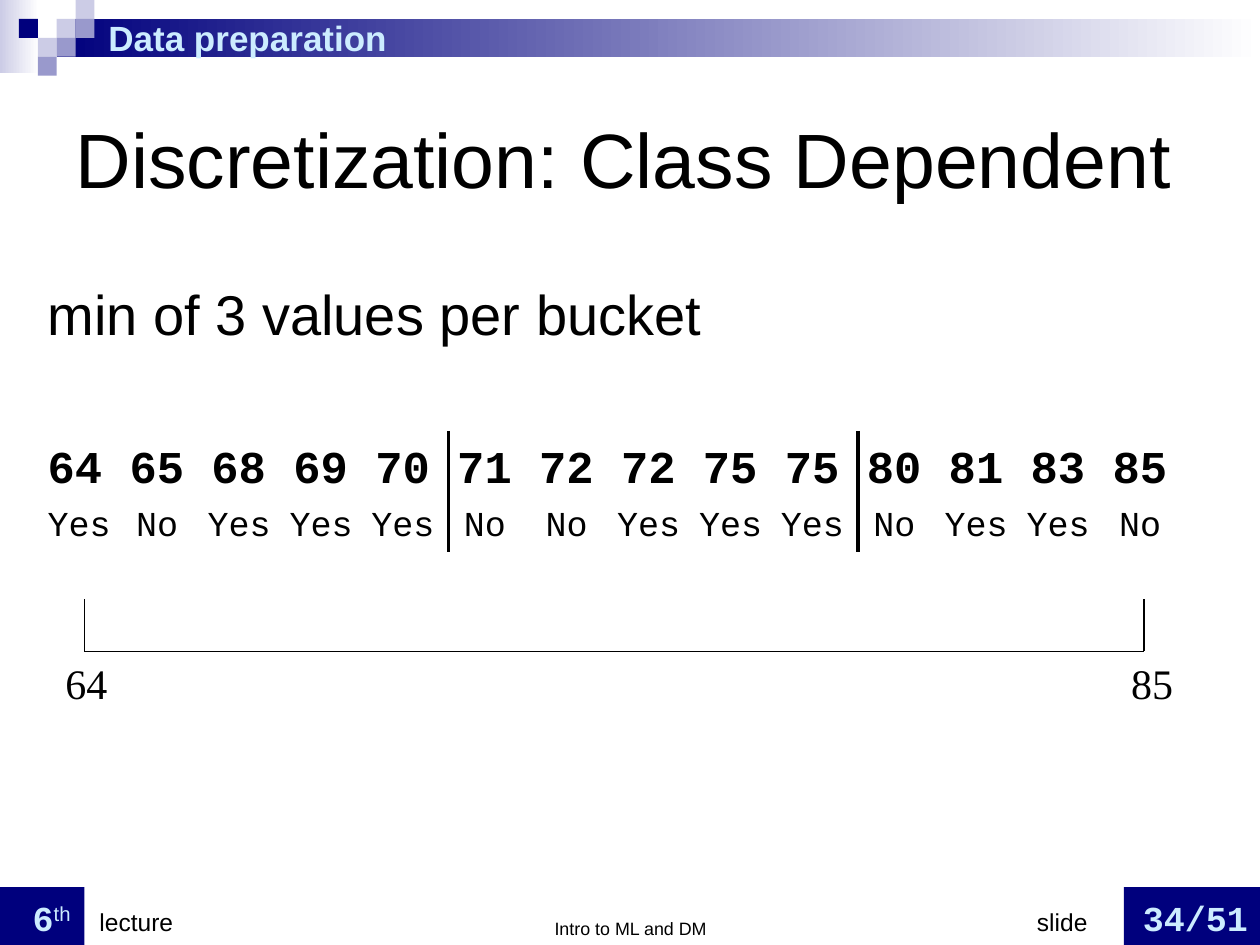
from lxml import etree
from pptx import Presentation
from pptx.dml.color import RGBColor
from pptx.enum.shapes import MSO_CONNECTOR, MSO_SHAPE
from pptx.enum.text import MSO_ANCHOR, PP_ALIGN
from pptx.oxml.ns import qn
from pptx.util import Inches, Pt

RECT = MSO_SHAPE.RECTANGLE
LINE = MSO_CONNECTOR.STRAIGHT
TOP, MID, LOW = MSO_ANCHOR.TOP, MSO_ANCHOR.MIDDLE, MSO_ANCHOR.BOTTOM
LEFT, CENTER = PP_ALIGN.LEFT, PP_ALIGN.CENTER
SANS, MONO, SERIF = "Arial", "Courier New", "Times New Roman"
NAVY, LILAC, PALE, ICE = "00007D", "9999CC", "CCCCE6", "CCECFF"
BLACK, WHITE = "000000", "FFFFFF"


def rgb(value):
    return RGBColor.from_string(value)


class Deck:
    def __init__(self, prs):
        self.slide = prs.slides.add_slide(prs.slide_layouts[5])
        self.shapes = self.slide.shapes

    def rect(self, x, y, w, h, fill, end=None):
        box = self.shapes.add_shape(RECT, Inches(x), Inches(y), Inches(w), Inches(h))
        box.shadow.inherit = False
        box.line.fill.background()
        if end is None:
            box.fill.solid()
            box.fill.fore_color.rgb = rgb(fill)
            return
        box.fill.gradient()
        box.fill.gradient_angle = 0
        for stop, tone, pos in zip(box.fill.gradient_stops, (fill, end), (0, 1)):
            stop.color.rgb = rgb(tone)
            stop.position = pos

    def line(self, x1, y1, x2, y2, width=0.75):
        line = self.shapes.add_connector(
            LINE, Inches(x1), Inches(y1), Inches(x2), Inches(y2))
        line.line.color.rgb = rgb(BLACK)
        line.line.width = Pt(width)
        etree.SubElement(line._element.spPr, qn("a:effectLst"))

    def frame(self, x, y, w, h, anchor=TOP, inset=0.1, pad=0.05, wrap=True):
        box = self.shapes.add_textbox(Inches(x), Inches(y), Inches(w), Inches(h))
        frame = box.text_frame
        frame.word_wrap = wrap
        frame.vertical_anchor = anchor
        frame.margin_left = Inches(inset)
        frame.margin_top = frame.margin_bottom = Inches(pad)
        return frame

    def font(self, font, size, name=SANS, color=BLACK, bold=False):
        font.size = Pt(size)
        font.name = name
        font.bold = bold
        font.color.rgb = rgb(color)

    def text(self, par, text, size, name=SANS, color=BLACK, bold=False, align=LEFT):
        par.text = text
        par.alignment = align
        for run in par.runs:
            self.font(run.font, size, name, color, bold)

    def run(self, par, text, size, name=SANS, color=BLACK, bold=False):
        run = par.add_run()
        run.text = text
        self.font(run.font, size, name, color, bold)
        return run

    def tabs(self, par, stops, align="l"):
        tabs = etree.SubElement(par._p.get_or_add_pPr(), qn("a:tabLst"))
        for stop in stops:
            etree.SubElement(tabs, qn("a:tab"), pos=str(Inches(stop)), algn=align)

    def title(self, text):
        title = self.shapes.title
        title.left, title.top = Inches(0.5), Inches(0.5)
        title.width, title.height = Inches(9), Inches(1.5)
        title.text_frame.vertical_anchor = MID
        self.text(title.text_frame.paragraphs[0], text, 44)


def banner(deck):
    deck.rect(8.92, 7.04, 1.08, 0.46, NAVY)
    deck.rect(0, 7.04, 0.67, 0.46, NAVY)
    deck.rect(0, 0, 0.31, 0.58, PALE, WHITE)
    deck.rect(0.45, 0.15, 9.55, 0.3, NAVY, WHITE)
    cell = 0.15
    tiles = [(3, 1, PALE), (4, 0, PALE), (4, 1, LILAC), (2, 2, PALE),
             (1, 1, NAVY), (3, 2, LILAC), (2, 3, LILAC)]
    for col, row, fill in tiles:
        deck.rect(col * cell, row * cell, cell, cell, fill)
    head = deck.frame(0.59, 0.15, 6.85, 0.29, MID, 0.27, 0.01)
    deck.text(head.paragraphs[0], "Data preparation", 20, SANS, ICE, True)


def footer(deck):
    mid = deck.frame(3.27, 7.01, 3.47, 0.49, LOW)
    deck.text(mid.paragraphs[0], "Intro to ML and DM", 10.2, align=CENTER)

    right = deck.frame(7.68, 7, 2.32, 0.5, LOW, 0.55)
    right.margin_right = 0
    page = right.paragraphs[0]
    deck.tabs(page, [0.84])
    deck.run(page, "slide\t", 14)
    deck.run(page, "34/51", 20, MONO, ICE, True)

    part = deck.frame(0, 6.99, 2.33, 0.51, LOW, 0.26).paragraphs[0]
    deck.tabs(part, [0.53])
    deck.run(part, "6", 20, MONO, ICE, True)
    sup = deck.run(part, "th", 20, SANS, ICE)
    sup.font._element.set("baseline", "30000")
    deck.run(part, "\tlecture", 14)


def body(deck):
    frame = deck.frame(0.28, 2.17, 9.36, 3.51)
    deck.text(frame.paragraphs[0], "min of 3 values per bucket", 32)

    nums = frame.add_paragraph()
    deck.text(nums, "64 65 68 69 70 71 72 72 75 75 80 81 83 85", 26, MONO, bold=True)
    nums.space_before = Pt(52)

    marks = "Yes No Yes Yes Yes No No Yes Yes Yes No Yes Yes No".split()
    row = frame.add_paragraph()
    deck.tabs(row, [0.22 + 0.65 * i for i in range(1, len(marks))], "ctr")
    deck.text(row, "\t".join(marks), 20, MONO)
    row.space_before = Pt(5)


def scale(deck):
    base, left, right = 5.17, 0.67, 9.08
    deck.line(left, base, right, base)
    for x, label, start in ((left, "64", 0.42), (right, "85", 8.88)):
        deck.line(x, base, x, 4.75)
        frame = deck.frame(start, base, 0.53, 0.5, wrap=False)
        deck.text(frame.paragraphs[0], label, 24, SERIF)
    for x in (3.56, 6.81):
        deck.line(x, 3.42, x, 4.38, 2)


def main():
    prs = Presentation()
    prs.slide_width, prs.slide_height = Inches(10), Inches(7.5)
    deck = Deck(prs)
    banner(deck)
    footer(deck)
    body(deck)
    deck.title("Discretization: Class Dependent")
    scale(deck)
    prs.save("out.pptx")


if __name__ == "__main__":
    main()
